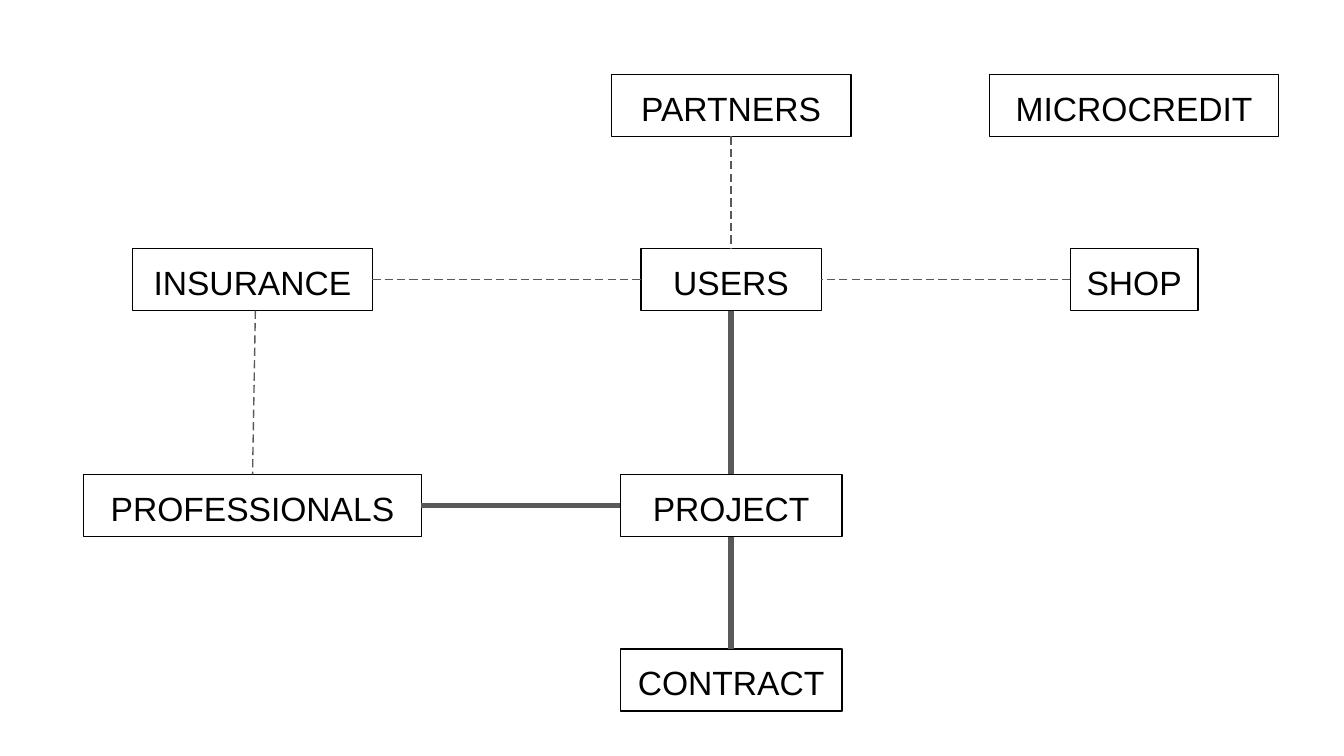
from lxml import etree
from pptx import Presentation
from pptx.dml.color import RGBColor
from pptx.enum.shapes import MSO_CONNECTOR, MSO_SHAPE
from pptx.enum.text import MSO_ANCHOR, PP_ALIGN
from pptx.oxml.ns import qn
from pptx.util import Pt

RECT, STRAIGHT = MSO_SHAPE.RECTANGLE, MSO_CONNECTOR.STRAIGHT
TOP, CENTER = MSO_ANCHOR.TOP, PP_ALIGN.CENTER
BLACK = RGBColor(0, 0, 0)
GRAY = RGBColor(0x59, 0x59, 0x59)

BOX_H = 33.3
ROWS = (39.8, 133.1, 254.2, 347.6)
LEFT_X, MAIN_X, RIGHT_X = 135.3, 391.7, 607.6
BOXES = {
    "PROJECT": (MAIN_X, 2, 118.8),
    "PARTNERS": (MAIN_X, 0, 128.4),
    "USERS": (MAIN_X, 1, 96.6),
    "PROFESSIONALS": (LEFT_X, 2, 181),
    "SHOP": (RIGHT_X, 1, 68.4),
    "CONTRACT": (MAIN_X, 3, 118.8),
    "INSURANCE": (LEFT_X, 1, 128.4),
    "MICROCREDIT": (RIGHT_X, 0, 154.8),
}
SIDES = {"top": (0, 0), "bottom": (0, 1), "left": (-0.5, 0.5), "right": (0.5, 0.5)}
THIN, THICK = 0.75, 3
LINKS = [
    ("PARTNERS", "bottom", "USERS", "top", THIN, 0),
    ("SHOP", "left", "USERS", "right", THIN, 0),
    ("INSURANCE", "right", "USERS", "left", THIN, 0),
    ("PROJECT", "bottom", "CONTRACT", "top", THICK, 0),
    ("USERS", "bottom", "PROJECT", "top", THICK, 0),
    ("PROFESSIONALS", "right", "PROJECT", "left", THICK, 0),
    ("INSURANCE", "bottom", "PROFESSIONALS", "top", THIN, 1.5),
]
FRAME = {"margin_left": Pt(7.2), "margin_right": Pt(7.2), "margin_top": Pt(7.2),
         "margin_bottom": Pt(7.2), "vertical_anchor": TOP, "word_wrap": True}
FONT = {"name": "Arial", "size": Pt(18)}


def apply(target, values):
    for name, value in values.items():
        setattr(target, name, value)


def add_box(s, text, center, row, width):
    sp = s.shapes.add_shape(RECT, Pt(center - width / 2), Pt(ROWS[row]), Pt(width), Pt(BOX_H))
    sp.shadow.inherit = False
    sp.fill.background()
    sp.line.color.rgb = BLACK
    sp.line.width = Pt(0.75)
    tf = sp.text_frame
    apply(tf, FRAME)
    p = tf.paragraphs[0]
    p.alignment = CENTER
    r = p.add_run()
    r.text = text
    apply(r.font, FONT)
    r.font.color.rgb = BLACK


def anchor(name, side):
    center, row, width = BOXES[name]
    dx, dy = SIDES[side]
    return center + dx * width, ROWS[row] + dy * BOX_H


def add_link(s, start, start_side, end, end_side, weight, shift):
    x1, y1 = anchor(start, start_side)
    x2, y2 = anchor(end, end_side)
    link = s.shapes.add_connector(STRAIGHT, Pt(x1 + shift), Pt(y1), Pt(x2), Pt(y2))
    link.line.color.rgb = GRAY
    link.line.width = Pt(weight)
    spPr = link._element.spPr
    if weight == THIN:
        dashes = etree.SubElement(spPr.find(qn("a:ln")), qn("a:custDash"))
        etree.SubElement(dashes, qn("a:ds"), d="600000", sp="300000")
    etree.SubElement(spPr, qn("a:effectLst"))


prs = Presentation()
prs.slide_width, prs.slide_height = Pt(720), Pt(405)
s = prs.slides.add_slide(prs.slide_layouts[6])
for name, place in BOXES.items():
    add_box(s, name, *place)
for link in LINKS:
    add_link(s, *link)
prs.save("out.pptx")
